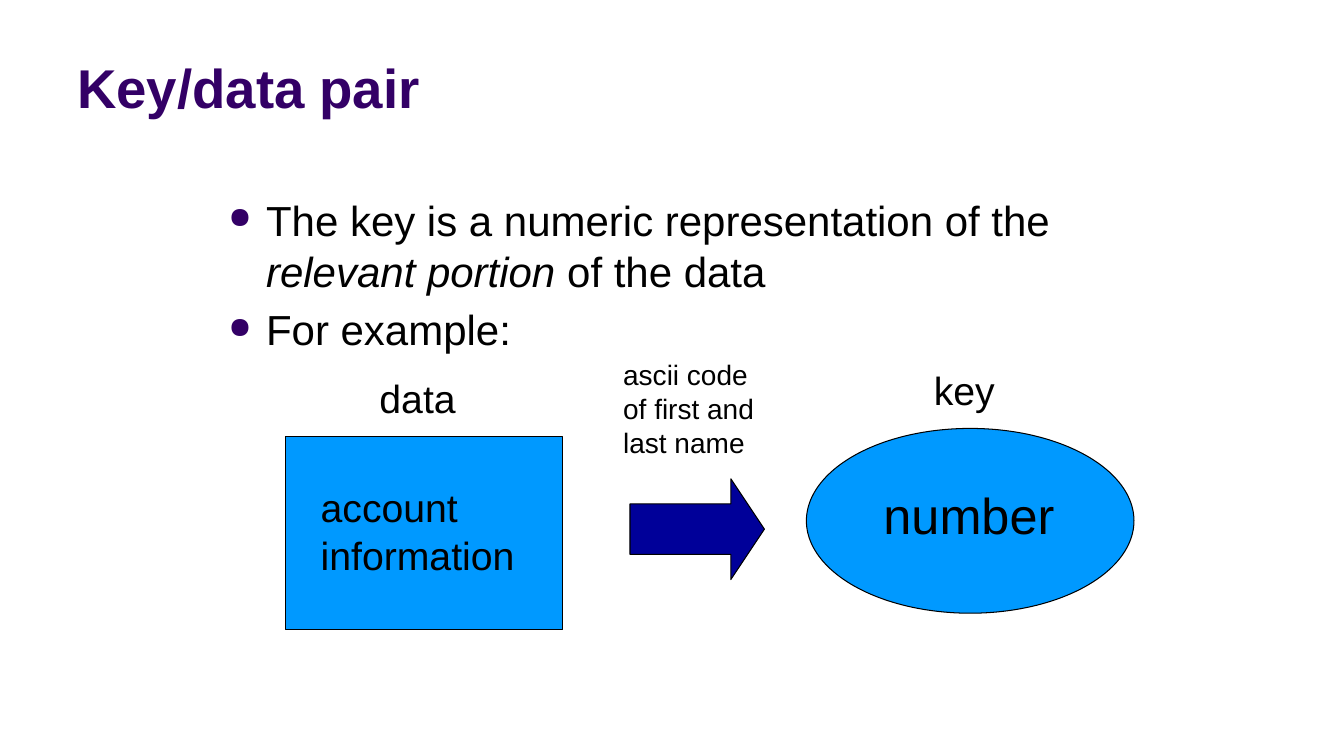
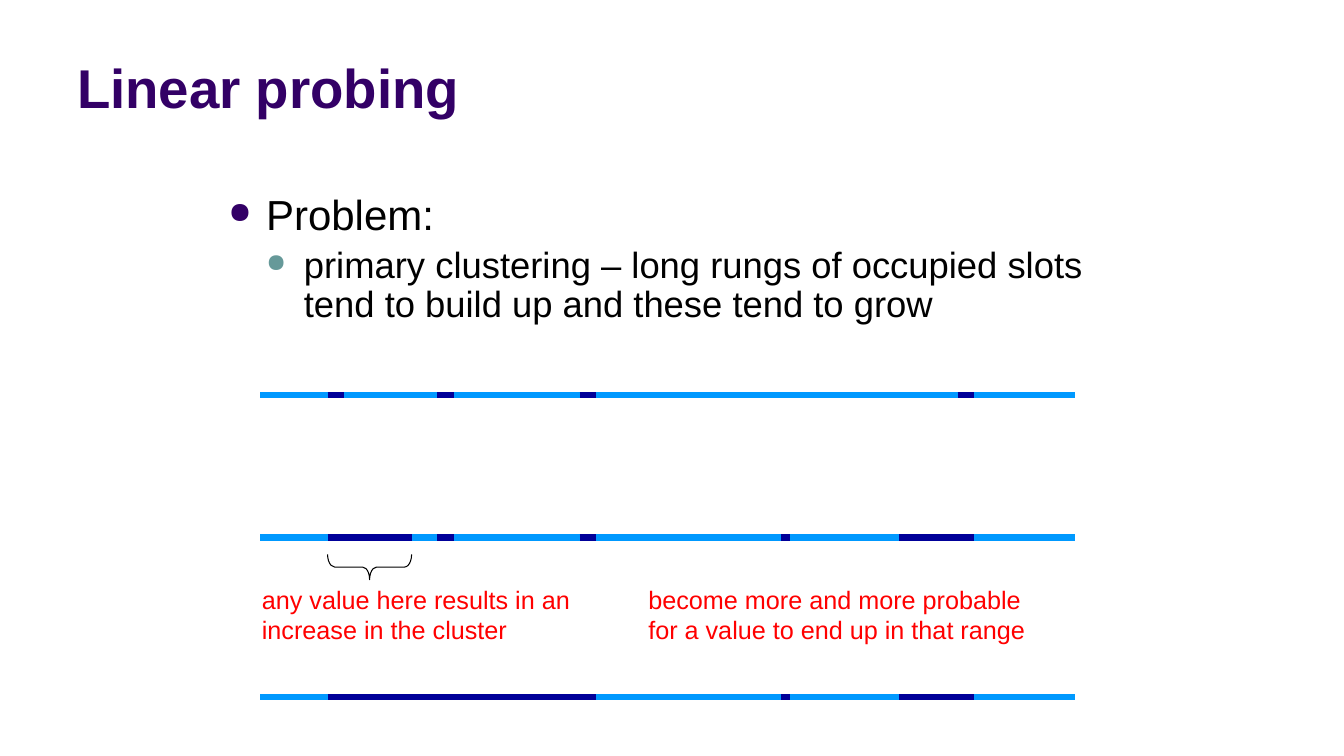
from lxml import etree
from pptx import Presentation
from pptx.dml.color import RGBColor
from pptx.enum.shapes import MSO_CONNECTOR, MSO_SHAPE
from pptx.enum.text import MSO_ANCHOR
from pptx.oxml.ns import qn
from pptx.util import Pt

COLORS = {"title": "330066", "text": "000000", "note": "FF0000", "sub": "669999",
          "free": "0099FF", "used": "000099"}
FONT = "Arial"
TITLE_BOX = (48, 9, 864, 79.5)
INDENT = 27


def rgb(name):
    return RGBColor.from_string(COLORS[name])


def add_text(s, box, paragraphs, size, color="text", bold=False):
    tf = s.shapes.add_textbox(*[Pt(v) for v in box]).text_frame
    tf.word_wrap = True
    for i, runs in enumerate(paragraphs):
        p = tf.paragraphs[0] if i == 0 else tf.add_paragraph()
        for text, italic in runs:
            r = p.add_run()
            r.text = text
            r.font.name = FONT
            r.font.size = Pt(size)
            r.font.bold = bold
            r.font.italic = italic
            r.font.color.rgb = rgb(color)
    return tf


prs = Presentation()
prs.slide_width, prs.slide_height = Pt(960), Pt(540)

pages = [
    ("Key/data pair", 129, 1.0, [
        (0, [("The key is a numeric representation of the ", False),
             ("relevant portion", True), (" of the data", False)]),
        (0, [("For example:", False)])]),
    ("Linear probing", 111, 0.9, [
        (0, [("Problem:", False)]),
        (1, [("primary clustering – long rungs of occupied slots "
              "tend to build up and these tend to grow", False)])]),
]
levels = [("title", 30), ("sub", 26)]
slides = []
for title, height, spacing, body in pages:
    s = prs.slides.add_slide(prs.slide_layouts[6])
    slides.append(s)
    tf = add_text(s, TITLE_BOX, [[(title, False)]], 39, "title", True)
    tf.vertical_anchor = MSO_ANCHOR.BOTTOM
    tf = add_text(s, (156, 135.5, 648, height), [runs for _, runs in body], 30)
    for p, (level, _) in zip(tf.paragraphs, body):
        bullet, size = levels[level]
        p.level = level
        p.line_spacing = spacing
        p.space_before = Pt(size * 0.2)
        for r in p.runs:
            r.font.size = Pt(size)
        pPr = p._p.get_or_add_pPr()
        pPr.set("marL", str(Pt(INDENT * (level + 1))))
        pPr.set("indent", str(Pt(-INDENT)))
        clr = etree.SubElement(pPr, qn("a:buClr"))
        etree.SubElement(clr, qn("a:srgbClr"), val=COLORS[bullet])
        etree.SubElement(pPr, qn("a:buSzPct"), val="70000")
        etree.SubElement(pPr, qn("a:buChar"), char="●")

pair, probing = slides

outlined = [
    (pair, MSO_SHAPE.OVAL, (576, 306, 234, 132), "free", [], 0),
    (pair, MSO_SHAPE.RECTANGLE, (204, 312, 198, 138), "free", [], 0),
    (pair, MSO_SHAPE.RIGHT_ARROW, (450, 342, 96, 72), "used", [0.5, 0.333], 0),
    (probing, MSO_SHAPE.LEFT_BRACE, (255, 375, 18, 60), None, [0.278, 0.5], 270),
]
for s, kind, box, fill, adjustments, rotation in outlined:
    sp = s.shapes.add_shape(kind, *[Pt(v) for v in box])
    sp.shadow.inherit = False
    sp.rotation = rotation
    sp.line.color.rgb = rgb("text")
    sp.line.width = Pt(0.75)
    if fill:
        sp.fill.solid()
        sp.fill.fore_color.rgb = rgb(fill)
    else:
        sp.fill.background()
    for i, value in enumerate(adjustments):
        sp.adjustments[i] = value

labels = [
    (pair, (222, 342, 168, 74), "account information", 28, "text"),
    (pair, (624, 342, 150, 50.5), "number", 36, "text"),
    (pair, (438, 252, 120, 79), "ascii code of first and last name", 20, "text"),
    (pair, (264, 264, 138, 41), "data", 28, "text"),
    (pair, (660, 258, 138, 41), "key", 28, "text"),
    (probing, (180, 414, 294, 50.5),
     "any value here results in an increase in the cluster", 18, "note"),
    (probing, (456, 414, 294, 50.5),
     "become more and more probable for a value to end up in that range", 18, "note"),
]
for s, box, text, size, color in labels:
    add_text(s, box, [[(text, False)]], size, color)

tables = [
    (282, [(234, 246), (312, 324), (414, 426), (684, 696)]),
    (384, [(234, 294), (312, 324), (414, 426), (642, 696), (558, 564)]),
    (498, [(234, 426), (642, 696), (558, 564)]),
]
for y, clusters in tables:
    group = probing.shapes.add_group_shape()
    segments = [(186, 768, "free")] + [(a, b, "used") for a, b in clusters]
    for x1, x2, color in segments:
        line = group.shapes.add_connector(MSO_CONNECTOR.STRAIGHT, Pt(x1), Pt(y), Pt(x2), Pt(y))
        line.line.color.rgb = rgb(color)
        line.line.width = Pt(4.5)
        etree.SubElement(line._element.spPr, qn("a:effectLst"))

prs.save("out.pptx")
